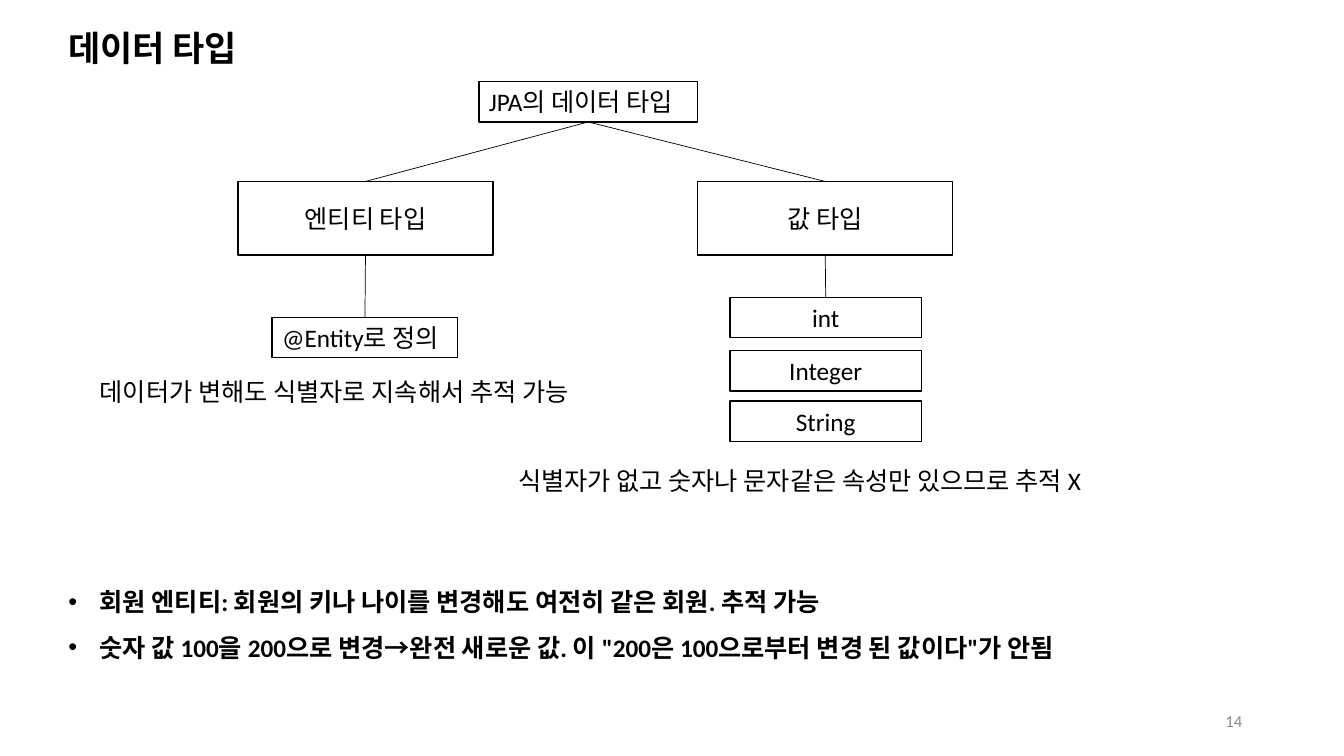
from dataclasses import dataclass, field

from lxml.etree import SubElement
from pptx import Presentation
from pptx.dml.color import RGBColor
from pptx.enum.shapes import MSO_CONNECTOR, MSO_SHAPE
from pptx.enum.text import MSO_ANCHOR, MSO_AUTO_SIZE, PP_ALIGN
from pptx.oxml.ns import qn
from pptx.shapes.autoshape import Shape
from pptx.slide import Slide
from pptx.util import Inches, Pt

BLACK = RGBColor(0x00, 0x00, 0x00)
WHITE = RGBColor(0xFF, 0xFF, 0xFF)
GRAY = RGBColor(0x8C, 0x8C, 0x8C)

BODY_FONT = {"name": "Calibri", "size": Pt(18), "bold": False}
GROWING = {"word_wrap": True, "auto_size": MSO_AUTO_SIZE.SHAPE_TO_FIT_TEXT,
           "vertical_anchor": MSO_ANCHOR.TOP}
HUGGING = GROWING | {"word_wrap": False}
MIDDLE = {"word_wrap": True, "auto_size": MSO_AUTO_SIZE.NONE,
          "vertical_anchor": MSO_ANCHOR.MIDDLE}
BOTTOM_SIDE, TOP_SIDE = 2, 0
BULLET_INDENT = Inches(0.31)


@dataclass(frozen=True)
class Label:
    lines: tuple[str, ...]
    left: float
    top: float
    width: float
    height: float = 0.4
    frame: dict = field(default_factory=lambda: GROWING)
    font: dict = field(default_factory=dict)
    paragraph: dict = field(default_factory=dict)
    color: RGBColor = BLACK
    bulleted: bool = False


def set_all(target: object, values: dict) -> None:
    for name, value in values.items():
        setattr(target, name, value)


def write_text(shape: Shape, label: Label) -> None:
    frame = shape.text_frame
    frame.text = "\n".join(label.lines)
    set_all(frame, label.frame)
    for paragraph in frame.paragraphs:
        set_all(paragraph, {"alignment": PP_ALIGN.LEFT} | label.paragraph)
        if label.bulleted:
            properties = paragraph._p.get_or_add_pPr()
            properties.set("marL", str(BULLET_INDENT))
            properties.set("indent", str(-BULLET_INDENT))
            SubElement(properties, qn("a:buFont")).set("typeface", "Arial")
            SubElement(properties, qn("a:buChar")).set("char", "•")
        set_all(paragraph.font, BODY_FONT | label.font)
        paragraph.font.color.rgb = label.color


def bounds(label: Label) -> list[int]:
    return [Inches(v) for v in (label.left, label.top, label.width, label.height)]


def add_text(slide: Slide, label: Label) -> None:
    write_text(slide.shapes.add_textbox(*bounds(label)), label)


def add_node(slide: Slide, label: Label) -> Shape:
    node = slide.shapes.add_shape(MSO_SHAPE.RECTANGLE, *bounds(label))
    node.shadow.inherit = False
    node.fill.solid()
    node.fill.fore_color.rgb = WHITE
    node.line.color.rgb = BLACK
    node.line.width = Pt(1)
    write_text(node, label)
    return node


def join(slide: Slide, parent: Shape, child: Shape) -> None:
    branch = slide.shapes.add_connector(MSO_CONNECTOR.STRAIGHT, 0, 0, 0, 0)
    branch.begin_connect(parent, BOTTOM_SIDE)
    branch.end_connect(child, TOP_SIDE)
    branch.line.color.rgb = BLACK
    branch.line.width = Pt(0.5)
    SubElement(branch._element.spPr, qn("a:effectLst"))


CENTERED = {"alignment": PP_ALIGN.CENTER}

TEXTS = [
    Label(("데이터 타입",), 0.58, 0.18, 11.5, 0.38, MIDDLE,
          {"name": "Arial", "size": Pt(25), "bold": True}, {"line_spacing": 1.5}),
    Label(("14",), 9.42, 6.95, 3, 0.4, MIDDLE, {"size": Pt(12)},
          {"alignment": PP_ALIGN.RIGHT}, GRAY),
    Label(("회원 엔티티: 회원의 키나 나이를 변경해도 여전히 같은 회원. 추적 가능",
           '숫자 값 100을 200으로 변경→완전 새로운 값. 이 "200은 100으로부터 변경 된 값이다"가 안됨'),
          0.58, 5.62, 12, 0.96, font={"bold": True},
          paragraph={"line_spacing": 1.5}, bulleted=True),
    Label(("데이터가 변해도 식별자로 지속해서 추적 가능",), 0.89, 3.68, 5.47),
    Label(("식별자가 없고 숫자나 문자같은 속성만 있으므로 추적 X",), 5.04, 4.57, 6.29,
          frame=HUGGING),
]

NODES = {
    "root": Label(("JPA의 데이터 타입",), 4.75, 0.81, 2.17, frame=HUGGING),
    "entity": Label(("엔티티 타입",), 2.36, 1.8, 2.53, 0.73, MIDDLE, paragraph=CENTERED),
    "value": Label(("값 타입",), 6.92, 1.8, 2.53, 0.73, MIDDLE, paragraph=CENTERED),
    "definition": Label(("@Entity로 정의",), 2.7, 3.15, 1.84, frame=HUGGING),
} | {
    name: Label((name,), 7.24, top, 1.9, paragraph=CENTERED)
    for name, top in (("int", 2.95), ("Integer", 3.48), ("String", 3.98))
}

BRANCHES = [("root", "entity"), ("root", "value"),
            ("entity", "definition"), ("value", "int")]


def main() -> None:
    presentation = Presentation()
    presentation.slide_width = Inches(13.33)
    presentation.slide_height = Inches(7.5)
    slide = presentation.slides.add_slide(presentation.slide_layouts[6])
    for label in TEXTS:
        add_text(slide, label)
    nodes = {name: add_node(slide, label) for name, label in NODES.items()}
    for parent, child in BRANCHES:
        join(slide, nodes[parent], nodes[child])
    presentation.save("out.pptx")


if __name__ == "__main__":
    main()
